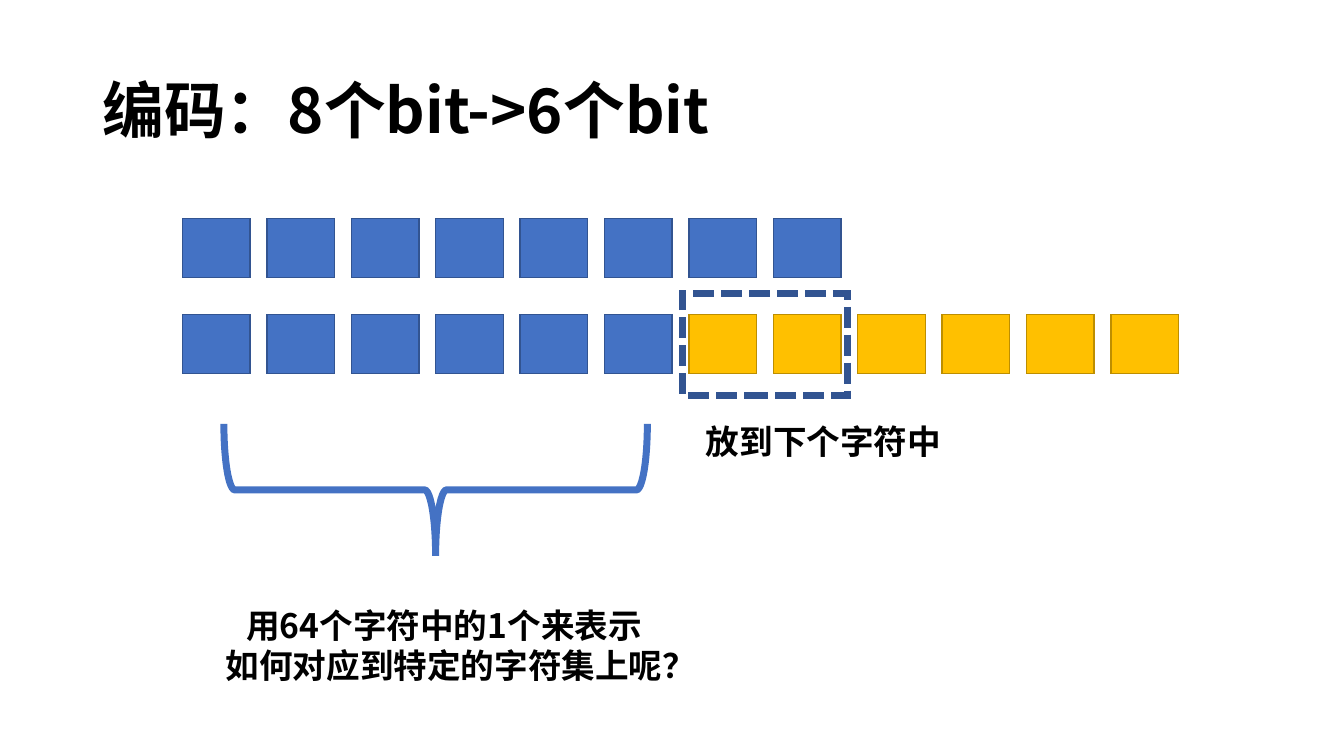
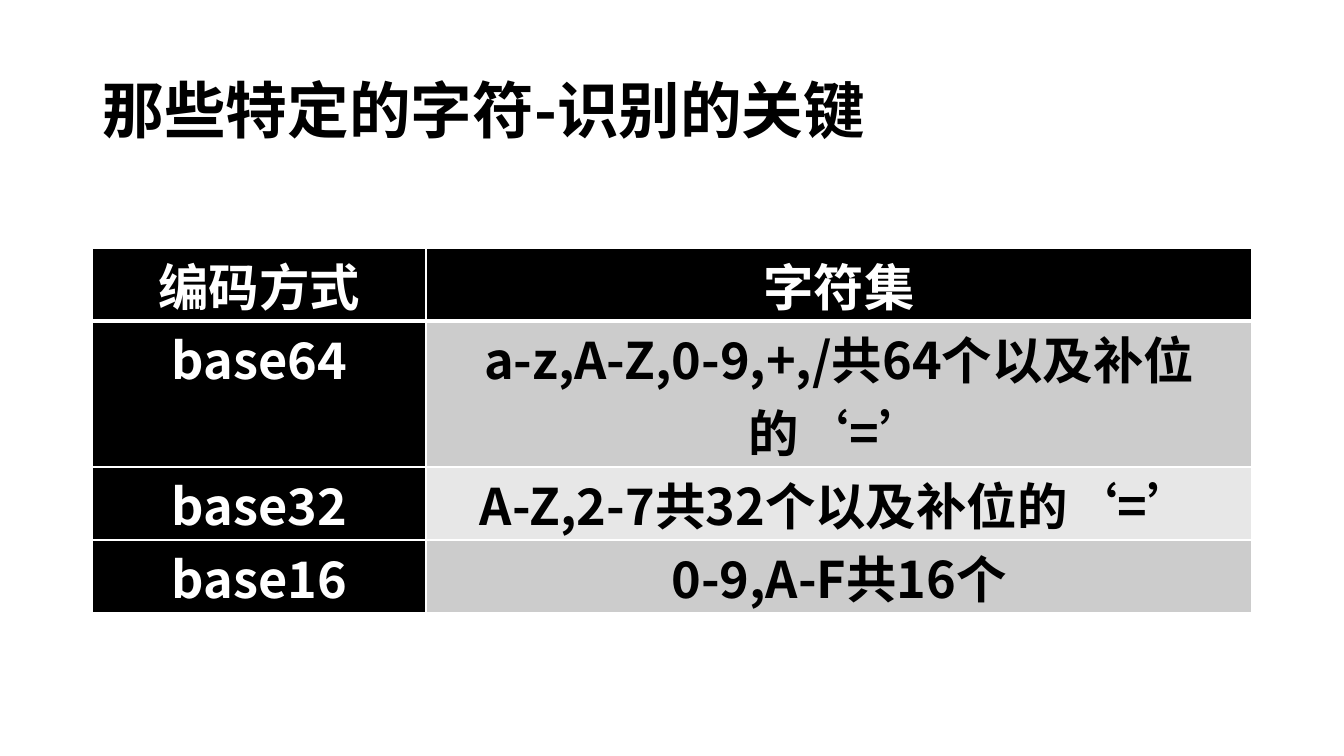
import pptx
import pptx.util
import pptx.dml.color
import pptx.enum.dml
import pptx.enum.shapes
import pptx.enum.text
import pptx.oxml.ns
import lxml.etree
from dataclasses import dataclass

SHAPES = pptx.enum.shapes.MSO_SHAPE
ALIGN = pptx.enum.text.PP_ALIGN
WIDTH = pptx.util.Inches(13.33)
HEIGHT = pptx.util.Inches(7.5)
TITLE_AREA = (6.9, 5.33, 86.25, 19.33)


@dataclass(frozen=True)
class Theme:
    font: str = "Noto Sans CJK SC"
    ink: str = "000000"
    paper: str = "FFFFFF"
    blue: str = "4472C4"
    navy: str = "325491"
    gold: str = "FFC000"
    bronze: str = "BD8E00"
    bands: tuple = ("CCCCCC", "E7E7E7")
    title_size: int = 44
    table_size: int = 36
    note_size: int = 24
    hairline: int = 1
    header_rule: int = 3
    heavy: int = 5


THEME = Theme()


@dataclass(frozen=True)
class BitGrid:
    left: float = 13.58
    top: float = 28.9
    column: float = 6.28
    row: float = 12.7
    width: float = 5.03
    height: float = 7.83

    def cell(self, column, row):
        return (self.left + column * self.column, self.top + row * self.row,
                self.width, self.height)


def across(percent):
    return round(WIDTH * percent / 100)


def down(percent):
    return round(HEIGHT * percent / 100)


def place(area):
    left, top, width, height = area
    return across(left), down(top), across(width), down(height)


def rgb(value):
    return pptx.dml.color.RGBColor.from_string(value)


def add_xml(parent, tag, **attributes):
    return lxml.etree.SubElement(parent, pptx.oxml.ns.qn(tag), attributes)


def write(paragraph, text, size, color, align=ALIGN.CENTER, spacing=None):
    paragraph.alignment = align
    if spacing:
        paragraph.line_spacing = spacing
    run = paragraph.add_run()
    run.text = text
    run.font.size = pptx.util.Pt(size)
    run.font.bold = True
    run.font.color.rgb = rgb(color)
    run.font.name = THEME.font
    properties = run._r.get_or_add_rPr()
    properties.set("lang", "zh-CN")
    add_xml(properties, "a:ea", typeface=THEME.font)


def add_title(slide, text):
    frame = slide.shapes.add_textbox(*place(TITLE_AREA)).text_frame
    frame.word_wrap = True
    frame.vertical_anchor = pptx.enum.text.MSO_ANCHOR.MIDDLE
    write(frame.paragraphs[0], text, THEME.title_size, THEME.ink, ALIGN.LEFT, 0.9)


def add_note(slide, area, lines):
    frame = slide.shapes.add_textbox(*place(area)).text_frame
    frame.word_wrap = False
    frame.auto_size = pptx.enum.text.MSO_AUTO_SIZE.SHAPE_TO_FIT_TEXT
    for index, line in enumerate(lines):
        paragraph = frame.add_paragraph() if index else frame.paragraphs[0]
        write(paragraph, line, THEME.note_size, THEME.ink)


def add_figure(slide, kind, area, outline, weight, fill=None, dash=None):
    figure = slide.shapes.add_shape(kind, *place(area))
    figure.shadow.inherit = False
    if fill:
        figure.fill.solid()
        figure.fill.fore_color.rgb = rgb(fill)
    else:
        figure.fill.background()
    figure.line.color.rgb = rgb(outline)
    figure.line.width = pptx.util.Pt(weight)
    if dash:
        figure.line.dash_style = dash
    add_xml(figure.line._get_or_add_ln(), "a:miter", lim="800000")
    return figure


def add_bits(slide, grid, columns, row, fill, outline):
    for column in columns:
        add_figure(slide, SHAPES.RECTANGLE, grid.cell(column, row),
                   outline, THEME.hairline, fill)


def set_borders(cell, bottom, top):
    weights = {"a:lnL": THEME.hairline, "a:lnR": THEME.hairline,
               "a:lnT": top, "a:lnB": bottom}
    properties = cell._tc.get_or_add_tcPr()
    for position, (side, weight) in enumerate(weights.items()):
        border = add_xml(properties, side, w=str(pptx.util.Pt(weight)))
        add_xml(add_xml(border, "a:solidFill"), "a:srgbClr", val=THEME.paper)
        properties.insert(position, border)


def fill_cell(cell, text, fill, color):
    cell.fill.solid()
    cell.fill.fore_color.rgb = rgb(fill)
    cell.margin_left = cell.margin_right = pptx.util.Inches(0.07)
    cell.margin_top = cell.margin_bottom = 0
    write(cell.text_frame.paragraphs[0], text, THEME.table_size, color)


def add_charset_table(slide, left, top, widths, line_height, line_counts, rows):
    area = (left, top, sum(widths), line_height * sum(line_counts))
    table = slide.shapes.add_table(len(rows), len(widths), *place(area)).table
    for column, width in zip(table.columns, widths):
        column.width = across(width)
    for row, count in zip(table.rows, line_counts):
        row.height = down(line_height * count)
    for r, texts in enumerate(rows):
        for c, text in enumerate(texts):
            cell = table.cell(r, c)
            if r == 0 or c == 0:
                fill, color = THEME.ink, THEME.paper
            else:
                fill, color = THEME.bands[(r - 1) % 2], THEME.ink
            fill_cell(cell, text, fill, color)
            set_borders(cell,
                        bottom=THEME.header_rule if r == 0 else THEME.hairline,
                        top=THEME.header_rule if r == 1 else THEME.hairline)


def new_slide(deck, title):
    slide = deck.slides.add_slide(deck.slide_layouts[6])
    add_title(slide, title)
    return slide


def build_regrouping(deck):
    slide = new_slide(deck, "编码：8个bit->6个bit")
    grid = BitGrid()
    add_bits(slide, grid, range(8), 0, THEME.blue, THEME.navy)
    add_bits(slide, grid, range(6), 1, THEME.blue, THEME.navy)
    add_bits(slide, grid, range(6, 12), 1, THEME.gold, THEME.bronze)
    add_figure(slide, SHAPES.RECTANGLE, (50.75, 38.8, 12.3, 13.47),
               THEME.navy, THEME.heavy,
               dash=pptx.enum.dml.MSO_LINE.SQUARE_DOT)
    six_bits = add_figure(slide, SHAPES.LEFT_BRACE, (27.5, 36.8, 9.83, 56),
                          THEME.blue, THEME.heavy)
    six_bits.rotation = 270
    add_note(slide, (15.38, 79.33, 35.33, 12.13),
             ["用64个字符中的1个来表示", "如何对应到特定的字符集上呢？"])
    add_note(slide, (50.78, 55.07, 21, 6.67), ["放到下个字符中"])


def build_charsets(deck):
    slide = new_slide(deck, "那些特定的字符-识别的关键")
    add_charset_table(slide, 6.9, 32.8, (24.8, 61.45), 9.66, (1, 2, 1, 1), [
        ("编码方式", "字符集"),
        ("base64", "a-z,A-Z,0-9,+,/共64个以及补位的‘=’"),
        ("base32", "A-Z,2-7共32个以及补位的‘=’"),
        ("base16", "0-9,A-F共16个"),
    ])


def main():
    deck = pptx.Presentation()
    deck.slide_width = WIDTH
    deck.slide_height = HEIGHT
    build_regrouping(deck)
    build_charsets(deck)
    deck.save("out.pptx")


main()
